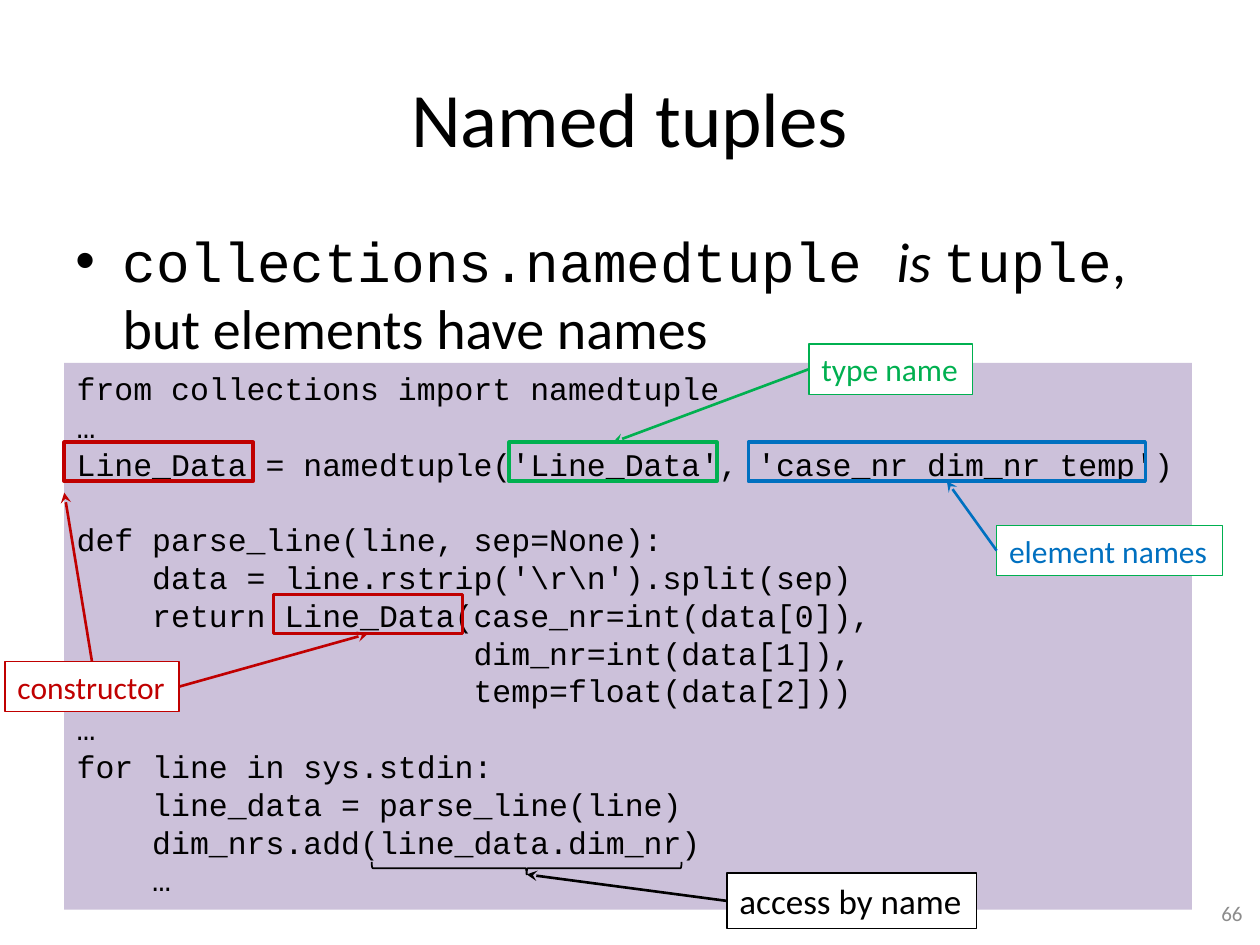
from lxml.etree import SubElement
from pptx import Presentation
from pptx.dml.color import RGBColor
from pptx.enum.shapes import MSO_CONNECTOR, MSO_SHAPE
from pptx.enum.text import MSO_ANCHOR, MSO_AUTO_SIZE, PP_ALIGN
from pptx.oxml.ns import qn
from pptx.util import Pt

BLACK, RED, BLUE, GREEN = "000000", "C00000", "0070C0", "00B050"
GREY, LILAC, WHITE = "8C8C8C", "CCC1DA", "FFFFFF"
SANS, MONO = "Calibri", "Courier New"
TOP, LEFT, BOTTOM, RIGHT = range(4)

TITLE = "Named tuples"
BULLET = [
    ("collections.namedtuple ", MONO, False),
    ("is ", SANS, True),
    ("tuple", MONO, False),
    (", but elements have names", SANS, False),
]
CODE = r"""from collections import namedtuple
…
Line_Data = namedtuple('Line_Data', 'case_nr dim_nr temp')

def parse_line(line, sep=None):
    data = line.rstrip('\r\n').split(sep)
    return Line_Data(case_nr=int(data[0]),
                     dim_nr=int(data[1]),
                     temp=float(data[2]))
…
for line in sys.stdin:
    line_data = parse_line(line)
    dim_nrs.add(line_data.dim_nr)
    …"""
PAGE_NUMBER = "66"

FRAME_HEIGHT = 22.32
FRAMES = {
    "assigned": (36.72, 252.72, 108, RED),
    "returned": (156.24, 339.84, 108, RED),
    "elements": (427.68, 252.72, 226.8, BLUE),
    "type": (290.88, 252.72, 118.8, GREEN),
}
LABELS = {
    "access by name": (415.44, 498.96, 142.56, 31.68, 20, BLACK, BLACK),
    "constructor": (2.88, 378, 99.36, 28.8, 18, RED, RED),
    "element names": (569.52, 300.24, 128.88, 28.8, 18, BLUE, GREEN),
    "type name": (462.24, 196.56, 93.6, 28.8, 18, GREEN, GREEN),
}
BRACE = (297.36, 407.52, 7.2, 177.12)
JOINED_ARROWS = [
    ("constructor", RIGHT, "returned", BOTTOM, RED),
    ("element names", LEFT, "elements", BOTTOM, BLUE),
    ("type name", LEFT, "type", TOP, GREEN),
]
FREE_ARROWS = [
    ("access by name", LEFT, (300.96, 499.68), BLACK),
    ("constructor", TOP, (36.72, 281.52), RED),
]


def color(value):
    """Turn a hex string into a colour."""
    return RGBColor.from_string(value)


def add_span(para, text, size, font=SANS, ink=BLACK, italic=False):
    """Add one formatted run to a paragraph."""
    span = para.add_run()
    span.text = text
    span.font.size = Pt(size)
    span.font.name = font
    span.font.italic = italic
    span.font.color.rgb = color(ink)


def add_text_box(page, area, anchor=MSO_ANCHOR.TOP, align=PP_ALIGN.LEFT):
    """Add a wrapping text box and return its first paragraph."""
    frame = page.shapes.add_textbox(*map(Pt, area)).text_frame
    frame.word_wrap = True
    frame.vertical_anchor = anchor
    para = frame.paragraphs[0]
    para.alignment = align
    return para


def add_outline(page, preset, area, line=None, width=1, fill=None):
    """Add a preset shape without shadow."""
    shape = page.shapes.add_shape(preset, *map(Pt, area))
    shape.shadow.inherit = False
    if fill:
        shape.fill.solid()
        shape.fill.fore_color.rgb = color(fill)
    else:
        shape.fill.background()
    if line:
        shape.line.color.rgb = color(line)
        shape.line.width = Pt(width)
    else:
        shape.line.fill.background()
    return shape


def fill_lines(shape, lines, size, font, ink):
    """Write left-aligned unwrapped lines from the top of a shape."""
    frame = shape.text_frame
    frame.word_wrap = False
    frame.auto_size = MSO_AUTO_SIZE.SHAPE_TO_FIT_TEXT
    frame.vertical_anchor = MSO_ANCHOR.TOP
    for index, line in enumerate(lines):
        para = frame.add_paragraph() if index else frame.paragraphs[0]
        para.alignment = PP_ALIGN.LEFT
        para.font.size = Pt(size)
        para.font.name = font
        if line:
            add_span(para, line, size, font, ink)


def add_arrow(page, label, side, ink, tip=(0, 0)):
    """Add a stealth arrow that starts at a side of a label."""
    x, y = map(Pt, tip)
    arrow = page.shapes.add_connector(MSO_CONNECTOR.STRAIGHT, x, y, x, y)
    arrow.begin_connect(label, side)
    arrow.line.color.rgb = color(ink)
    arrow.line.width = Pt(1.5)
    SubElement(arrow.line._get_or_add_ln(), qn("a:tailEnd"), type="stealth")
    SubElement(arrow._element.spPr, qn("a:effectLst"))
    return arrow


def add_bullet(para, indent):
    """Give a paragraph a round bullet with a hanging indent."""
    properties = para._p.get_or_add_pPr()
    properties.set("marL", str(Pt(indent)))
    properties.set("indent", str(-Pt(indent)))
    SubElement(properties, qn("a:buFont"), typeface="Arial")
    SubElement(properties, qn("a:buChar"), char="•")


def main():
    """Build the named tuples slide."""
    deck = Presentation()
    deck.slide_width, deck.slide_height = Pt(720), Pt(540)
    page = deck.slides.add_slide(deck.slide_layouts[6])

    title = add_text_box(page, (36, 21.6, 648, 90), MSO_ANCHOR.MIDDLE, PP_ALIGN.CENTER)
    add_span(title, TITLE, 44)
    body = add_text_box(page, (36, 126, 648, 356.4))
    add_bullet(body, 27)
    for text, font, italic in BULLET:
        add_span(body, text, 32, font, italic=italic)

    code_area = (36.72, 207.36, 644.4, 312.48)
    code = add_outline(page, MSO_SHAPE.RECTANGLE, code_area, fill=LILAC)
    fill_lines(code, CODE.split("\n"), 18, MONO, BLACK)
    number_area = (549.36, 507.6, 167.76, 28.8)
    number = add_text_box(page, number_area, MSO_ANCHOR.MIDDLE, PP_ALIGN.RIGHT)
    add_span(number, PAGE_NUMBER, 12, ink=GREY)

    brace = add_outline(page, MSO_SHAPE.LEFT_BRACE, BRACE, BLACK)
    brace.rotation = 270
    frames = {
        name: add_outline(page, MSO_SHAPE.RECTANGLE, (x, y, width, FRAME_HEIGHT), ink, 2)
        for name, (x, y, width, ink) in FRAMES.items()
    }
    labels = {}
    for text, (*area, size, ink, border) in LABELS.items():
        labels[text] = add_outline(page, MSO_SHAPE.RECTANGLE, area, border, 0.75, WHITE)
        fill_lines(labels[text], [text], size, SANS, ink)

    for label, side, frame, frame_side, ink in JOINED_ARROWS:
        arrow = add_arrow(page, labels[label], side, ink)
        arrow.end_connect(frames[frame], frame_side)
    for label, side, tip, ink in FREE_ARROWS:
        add_arrow(page, labels[label], side, ink, tip)

    deck.save("out.pptx")


if __name__ == "__main__":
    main()
